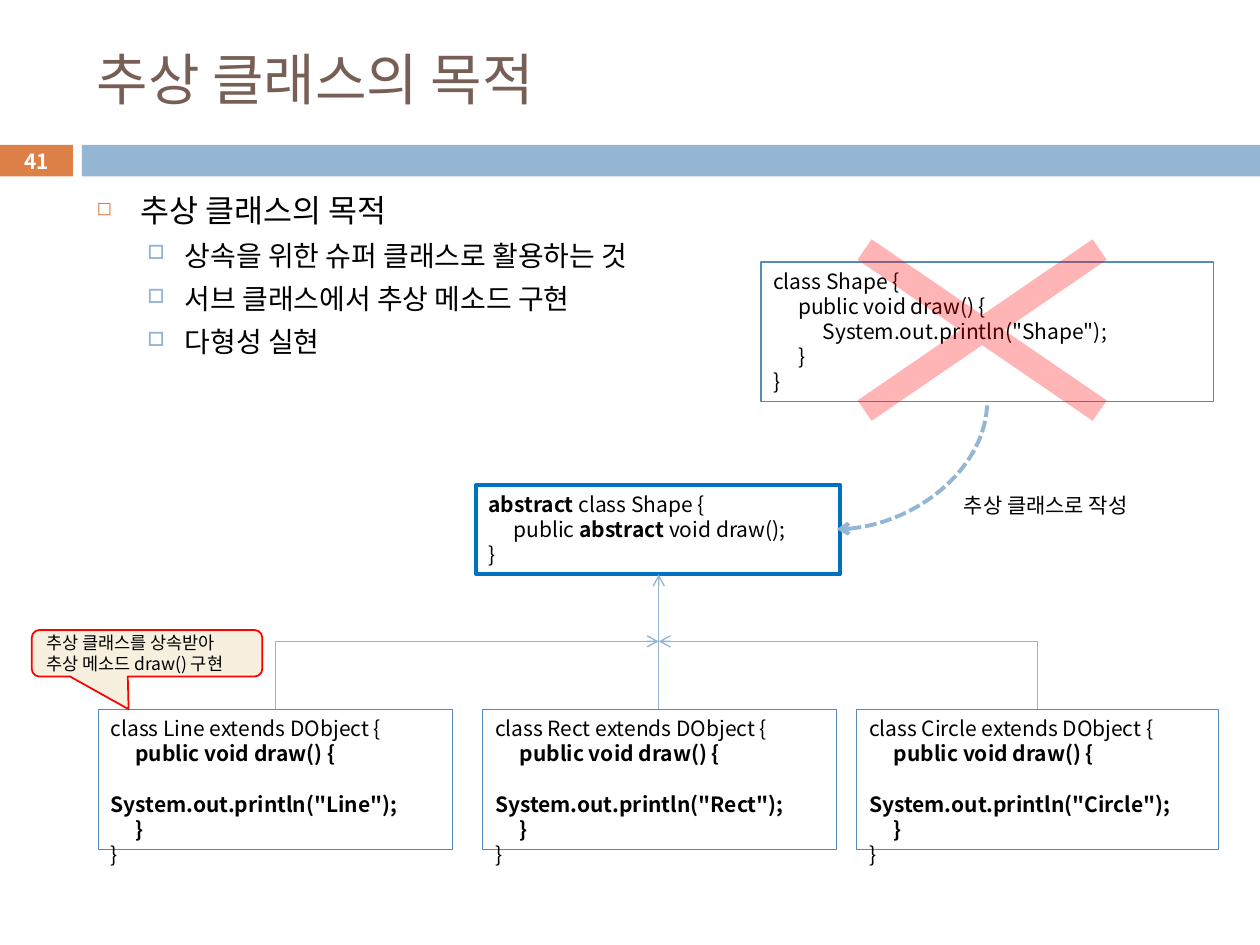
from lxml import etree
from pptx import Presentation
from pptx import util as u
from pptx.dml import color
from pptx.enum import dml, shapes, text
from pptx.oxml import ns

FONT = "Noto Sans CJK KR"
BLUE, ORANGE, BROWN, EDGE, RED = "94B6D2", "DD8047", "775F55", "558BB8", "FF0000"
TABS = (0.5, 1.0)


def rgb(value):
    """Turn a hex string into a colour."""
    return color.RGBColor.from_string(value)


def cm(*values):
    """Turn numbers into lengths in centimetres."""
    return [u.Cm(value) for value in values]


def child(parent, tag, **attributes):
    """Append a drawing element to parent."""
    return etree.SubElement(parent, ns.qn("a:" + tag), attributes)


def add_run(paragraph, words, size, ink="000000", bold=False):
    """Add one run in the slide font."""
    run = paragraph.add_run()
    run.text = words
    run.font.size = u.Pt(size)
    run.font.bold = bold
    run.font.color.rgb = rgb(ink)
    run.font.name = FONT
    child(run.font._element, "ea", typeface=FONT)


def write(shape, lines, size, ink="000000", align=text.PP_ALIGN.LEFT,
          anchor=text.MSO_ANCHOR.TOP, wrap=True):
    """Fill a shape with lines, each a list of (words, bold) runs."""
    frame = shape.text_frame
    frame.word_wrap = wrap
    frame.auto_size = text.MSO_AUTO_SIZE.NONE
    frame.vertical_anchor = anchor
    for index, line in enumerate(lines):
        paragraph = frame.paragraphs[0] if index == 0 else frame.add_paragraph()
        paragraph.alignment = align
        for words, bold in line:
            add_run(paragraph, words, size, ink, bold)
    return frame


def add_panel(slide, kind, box, fill=None, edge=None, weight=0.75):
    """Add a preset shape with plain fill and edge."""
    panel = slide.shapes.add_shape(kind, *cm(*box))
    panel.shadow.inherit = False
    if fill:
        panel.fill.solid()
        panel.fill.fore_color.rgb = rgb(fill)
    else:
        panel.fill.background()
    if edge:
        panel.line.color.rgb = rgb(edge)
        panel.line.width = u.Pt(weight)
    else:
        panel.line.fill.background()
    return panel


def add_header(slide, box, title, number):
    """Place the title above the band with the page number."""
    left, top, width, height = box
    band, tab = top + 2.28, 1.47
    rect = shapes.MSO_SHAPE.RECTANGLE
    page = add_panel(slide, rect, (left, band, tab, 0.64), ORANGE)
    write(page, [[(number, True)]], 11.9, "FFFFFF", text.PP_ALIGN.CENTER,
          text.MSO_ANCHOR.MIDDLE)
    add_panel(slide, rect, (left + 1.65, band, width - 1.65, 0.64), BLUE)
    heading = slide.shapes.add_textbox(*cm(left + 1.7, top, width - 2.74, 1.88))
    write(heading, [[(title, False)]], 32, BROWN, anchor=text.MSO_ANCHOR.MIDDLE)


def add_bullets(slide, box, items):
    """Place a two-level list of (level, words)."""
    styles = [(18, 7, 0.89, 0.89, ORANGE, "60000", "◻"),
              (16, 5.5, 1.78, 0.76, BLUE, "70000", "□")]
    body = slide.shapes.add_textbox(*cm(*box))
    frame = write(body, [], 18)
    for index, (level, words) in enumerate(items):
        size, before, margin, hang, ink, scale, mark = styles[level]
        paragraph = frame.paragraphs[0] if index == 0 else frame.add_paragraph()
        paragraph.level = level
        paragraph.space_before = u.Pt(before)
        add_run(paragraph, words, size)
        props = paragraph._p.get_or_add_pPr()
        props.set("marL", str(u.Cm(margin)))
        props.set("indent", str(-u.Cm(hang)))
        child(child(props, "buClr"), "srgbClr", val=ink)
        child(props, "buSzPct", val=scale)
        child(props, "buChar", char=mark)


def add_code(slide, box, lines, edge=EDGE, weight=0.75):
    """Place a framed code listing with its tab stops."""
    panel = add_panel(slide, shapes.MSO_SHAPE.RECTANGLE, box, None, edge, weight)
    for paragraph in write(panel, lines, 12).paragraphs:
        stops = child(paragraph._p.get_or_add_pPr(), "tabLst")
        for stop in TABS:
            child(stops, "tab", pos=str(u.Cm(stop)), algn="l")


def add_subclass(slide, box, name):
    """Place the listing of one subclass."""
    add_code(slide, box, [
        [(f"class {name} extends DObject {{", False)],
        [("\t", False), ("public void draw() {", True)],
        [(f'\t\t System.out.println("{name}");', True)],
        [("\t}", True)],
        [("}", False)]])


def add_rejected(slide, box):
    """Place the concrete class, crossed out."""
    left, top, width, height = box
    lines = ["class Shape {", "\tpublic void draw() {",
             '\t\tSystem.out.println("Shape");', "\t}", "}"]
    add_code(slide, box, [[(line, False)] for line in lines])
    cross = add_panel(slide, shapes.MSO_SHAPE.MATH_MULTIPLY,
                      (left - 0.1, top - 1.75, width, 6.25), RED)
    cross.adjustments[0] = 0.08
    tint = cross._element.spPr.find(".//" + ns.qn("a:srgbClr"))
    child(tint, "alpha", val="29000")


def add_arrow(slide, head, end, preset, weight=0.79, dash=None):
    """Draw a connector whose arrowhead lies at its first point."""
    arrow = slide.shapes.add_connector(shapes.MSO_CONNECTOR.STRAIGHT, *cm(*head, *end))
    props = arrow._element.spPr
    props.find(ns.qn("a:prstGeom")).set("prst", preset)
    arrow.line.color.rgb = rgb(BLUE)
    arrow.line.width = u.Pt(weight)
    if dash:
        arrow.line.dash_style = dash
    child(props.find(ns.qn("a:ln")), "headEnd", type="arrow")
    child(props, "effectLst")


def add_callout(slide, box, lines):
    """Place the speech bubble."""
    bubble = add_panel(slide, shapes.MSO_SHAPE.ROUNDED_RECTANGULAR_CALLOUT,
                       box, "F7F0DE", RED, 1)
    for index, value in enumerate((-0.08, 1.2, 0.17)):
        bubble.adjustments[index] = value
    write(bubble, [[(line, False)] for line in lines], 10,
          anchor=text.MSO_ANCHOR.MIDDLE)


def add_hierarchy(slide, box):
    """Place the abstract class, its subclasses and their arrows."""
    left, top, width, height = box
    parent = (left + 7.62, top, 7.34, 1.8)
    row, join, axis = top + 4.52, top + 3.15, left + 11.3
    add_code(slide, parent, [
        [("abstract", True), (" class Shape {", False)],
        [("\tpublic ", False), ("abstract", True), (" void draw();", False)],
        [("}", False)]], "0070C0", 2.25)
    for name, offset, span in (("Line", 0, 7.14), ("Rect", 7.75, 7.14),
                               ("Circle", 15.29, 7.29)):
        add_subclass(slide, (left + offset, row, span, 2.82), name)
        if name != "Rect":
            add_arrow(slide, (axis, join), (left + offset + span / 2, row),
                      "bentConnector2")
    add_arrow(slide, (axis, top + 1.8), (axis, row), "line")


def build():
    """Build the slide and save it."""
    deck = Presentation()
    deck.slide_width, deck.slide_height = cm(25.4, 19.05)
    slide = deck.slides.add_slide(deck.slide_layouts[6])
    add_header(slide, (0, 0.64, 25.4, 2.92), "추상 클래스의 목적", "41")
    add_bullets(slide, (1.7, 3.73, 12.6, 14), [
        (0, "추상 클래스의 목적"),
        (1, "상속을 위한 슈퍼 클래스로 활용하는 것"),
        (1, "서브 클래스에서 추상 메소드 구현"),
        (1, "다형성 실현")])
    add_hierarchy(slide, (1.98, 9.78, 22.58, 7.34))
    add_rejected(slide, (15.34, 5.28, 9.12, 2.82))
    add_arrow(slide, (16.87, 10.67), (19.9, 8.1), "curvedConnector2", 2.25,
              dml.MSO_LINE.SQUARE_DOT)
    label = slide.shapes.add_textbox(*cm(19.18, 9.8, 4.24, 0.76))
    write(label, [[("추상 클래스로 작성", False)]], 12, wrap=False)
    add_callout(slide, (0.64, 12.7, 4.65, 0.94),
                ["추상 클래스를 상속받아", "추상 메소드 draw() 구현"])
    deck.save("out.pptx")


build()
